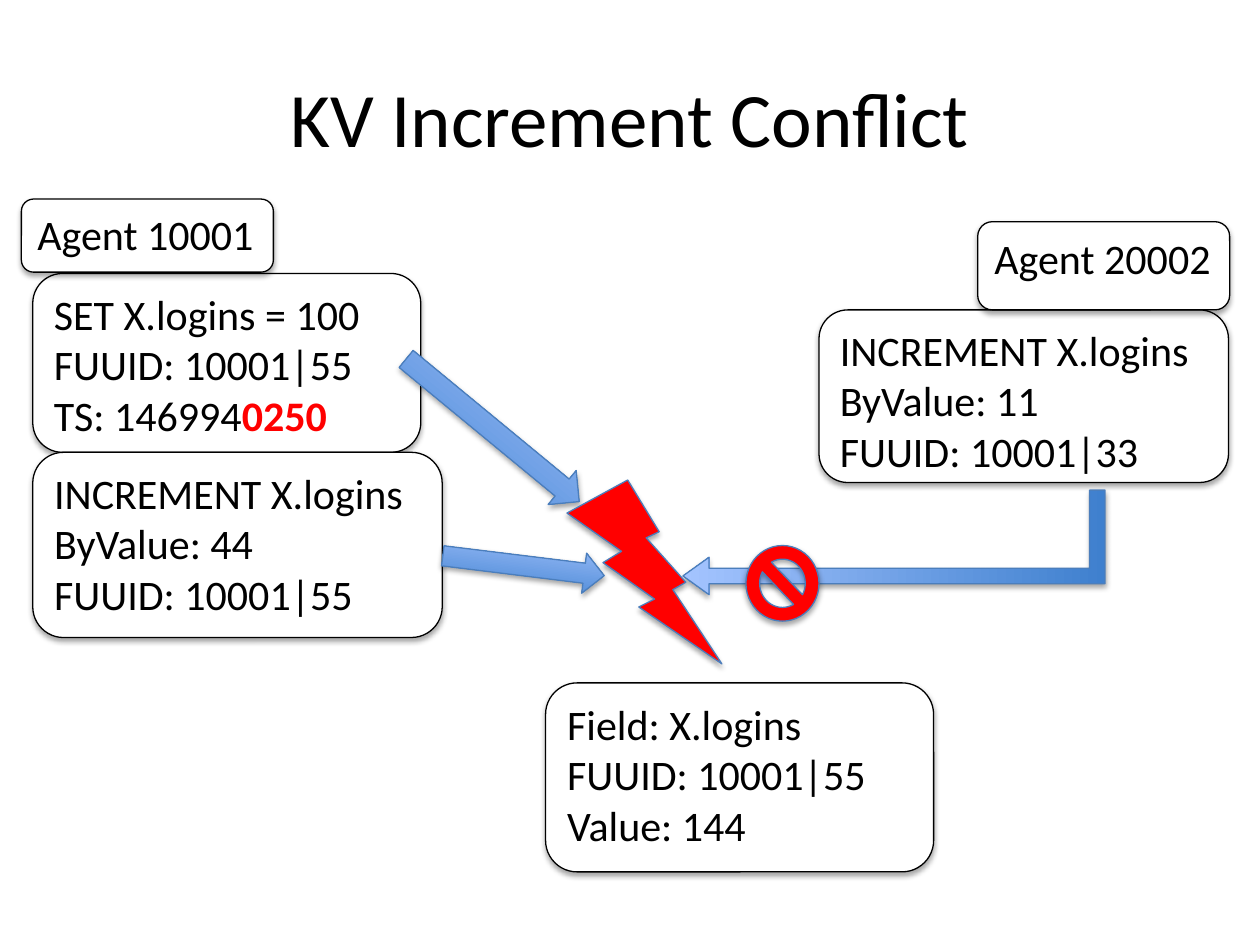
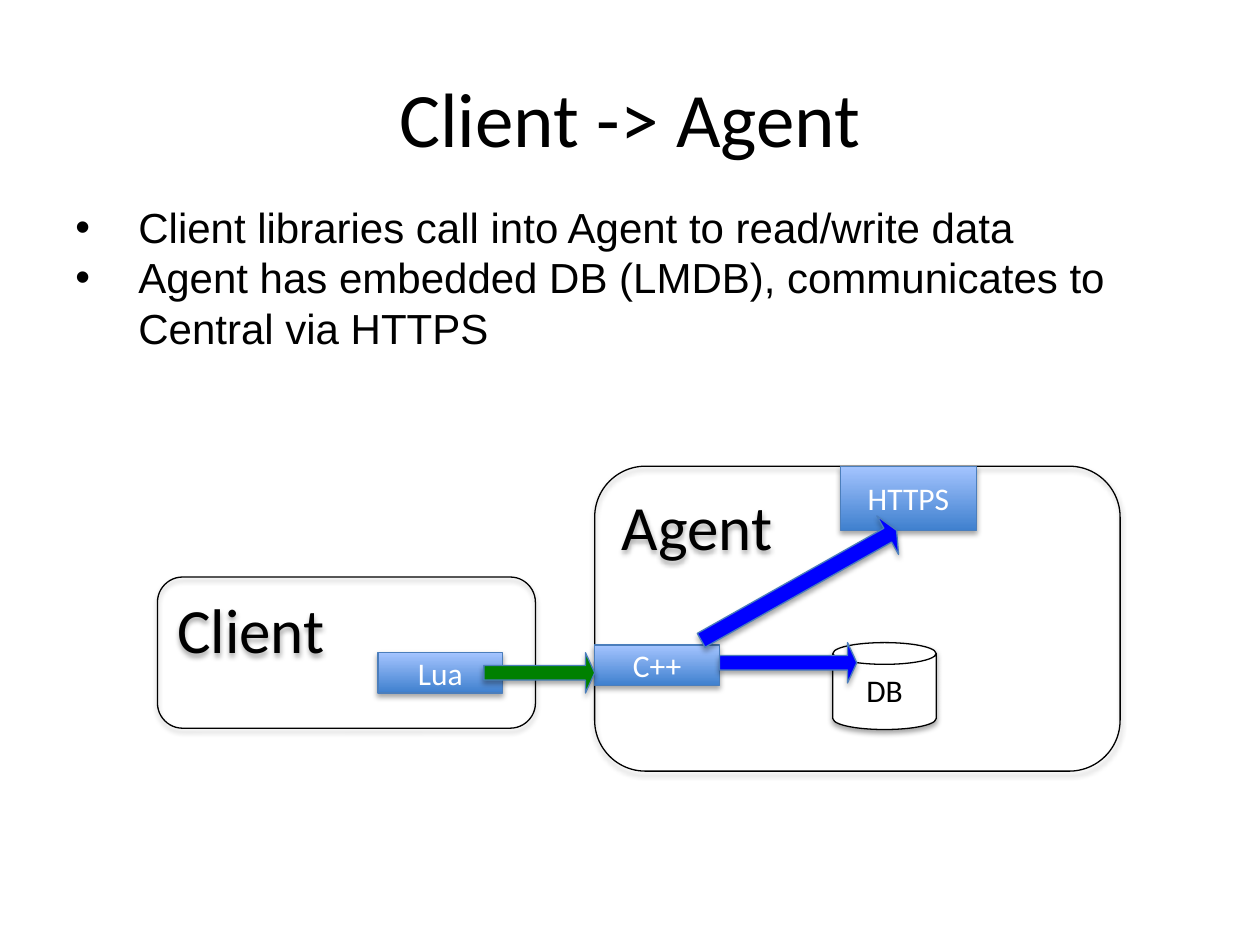
from lxml.etree import SubElement
from pptx import Presentation
from pptx.dml.color import RGBColor
from pptx.enum.shapes import MSO_SHAPE as SHAPE
from pptx.enum.text import MSO_ANCHOR, PP_ALIGN
from pptx.oxml.ns import qn
from pptx.util import Inches, Pt

BLACK = RGBColor(0x00, 0x00, 0x00)
WHITE = RGBColor(0xFF, 0xFF, 0xFF)
RED = RGBColor(0xFF, 0x00, 0x00)
GREEN = RGBColor(0x00, 0x80, 0x00)
BLUE = RGBColor(0x00, 0x00, 0xFF)
EDGE = RGBColor(0x4B, 0x7E, 0xBC)
SHADE = (RGBColor(0x3F, 0x80, 0xCE), RGBColor(0xA4, 0xC4, 0xFF))


def write(frame, lines, size, color=BLACK, align=PP_ALIGN.LEFT, font="Calibri"):
    """Fill a frame with lines; each line is a list of (text, colour or None)."""
    for i, line in enumerate(lines):
        para = frame.paragraphs[0] if i == 0 else frame.add_paragraph()
        para.alignment = align
        for text, accent in line:
            run = para.add_run()
            run.text = text
            run.font.name = font
            run.font.size = Pt(size)
            run.font.color.rgb = accent or color
            if accent:
                run.font.bold = True


def draw(slide, kind, box, fill, edge=EDGE, turn=0, adjust=()):
    """Add a shape with a soft shadow; fill is a colour, SHADE or None."""
    shape = slide.shapes.add_shape(kind, *map(Inches, box))
    shape.rotation = turn
    for i, value in enumerate(adjust):
        shape.adjustments[i] = value
    if fill is None:
        shape.fill.background()
    elif fill is SHADE:
        shape.fill.gradient()
        shape.fill.gradient_angle = 90
        for stop, color in zip(shape.fill.gradient_stops, SHADE):
            stop.color.rgb = color
    else:
        shape.fill.solid()
        shape.fill.fore_color.rgb = fill
    shape.line.color.rgb = edge
    shape.line.width = Pt(0.75)
    shape.shadow.inherit = False
    effects = shape._element.spPr.find(qn("a:effectLst"))
    shadow = SubElement(effects, qn("a:outerShdw"), blurRad=str(Pt(3.1)),
                        dist=str(Pt(1.8)), dir="5400000", rotWithShape="0")
    black = SubElement(shadow, qn("a:srgbClr"), val="000000")
    SubElement(black, qn("a:alpha"), val="35000")
    shape.text_frame.vertical_anchor = MSO_ANCHOR.TOP
    return shape


deck = Presentation()
deck.slide_width, deck.slide_height = Inches(10), Inches(7.5)
slides = []
for name in ("KV Increment Conflict", "Client -> Agent"):
    slide = deck.slides.add_slide(deck.slide_layouts[5])
    title = slide.shapes.title
    title.left, title.top = Inches(0.5), Inches(0.3)
    title.width, title.height = Inches(9), Inches(1.25)
    title.text_frame.vertical_anchor = MSO_ANCHOR.MIDDLE
    write(title.text_frame, [[(name, None)]], 44, align=PP_ALIGN.CENTER)
    slides.append(slide)
conflict, client = slides

# Conflict: messages, arrows and the agents' name tags
messages = [
    ((6.5, 2.46, 3.25, 1.37), ["INCREMENT X.logins", "ByValue: 11", "FUUID: 10001|33"]),
    ((0.26, 2.17, 3.08, 1.42), ["SET X.logins = 100", "FUUID: 10001|55", "TS: 146994"]),
    ((4.33, 5.42, 3.08, 1.5), ["Field: X.logins", "FUUID: 10001|55", "Value: 144"]),
    ((0.26, 3.59, 3.25, 1.47), ["INCREMENT X.logins", "ByValue: 44", "FUUID: 10001|55"]),
]
for box, texts in messages:
    shape = draw(conflict, SHAPE.ROUNDED_RECTANGLE, box, WHITE, BLACK)
    lines = [[(text, None)] for text in texts]
    if texts[-1].startswith("TS:"):
        lines[-1].append(("0250", RED))
    write(shape.text_frame, lines, 24)

bent = draw(conflict, SHAPE.BENT_UP_ARROW, (6.68, 2.63, 0.83, 3.35), SHADE,
            turn=90, adjust=(0.148, 0.179, 0.25))
bent._element.spPr.xfrm.set("flipV", "1")
for box, turn in (((3.02, 3.24, 1.78, 0.35), 39.5), ((3.51, 4.33, 1.29, 0.32), 7)):
    draw(conflict, SHAPE.RIGHT_ARROW, box, SHADE, turn=turn)
draw(conflict, SHAPE.LIGHTNING_BOLT, (4.5, 3.81, 1.23, 1.46), RED)
draw(conflict, SHAPE.NO_SYMBOL, (5.92, 4.33, 0.58, 0.6), RED)

for box, name in (((7.76, 1.76, 2, 0.7), "Agent 20002"),
                  ((0.17, 1.58, 2, 0.58), "Agent 10001")):
    tag = draw(conflict, SHAPE.ROUNDED_RECTANGLE, box, WHITE, BLACK)
    write(tag.text_frame, [[(name, None)]], 24)

# Client and agent: bullets, then containers with their parts
body = client.shapes.add_textbox(Inches(0.5), Inches(1.55), Inches(9.17), Inches(1.31))
body.text_frame.word_wrap = True
write(body.text_frame, [
    [("Client libraries call into Agent to read/write data", None)],
    [("Agent has embedded DB (LMDB), communicates to Central via HTTPS", None)],
], 24, font="Arial")
for para in body.text_frame.paragraphs:
    props = para._p.get_or_add_pPr()
    props.set("marL", str(Inches(0.5)))
    props.set("indent", str(-Inches(0.5)))
    SubElement(props, qn("a:buFont"), typeface="Arial")
    SubElement(props, qn("a:buChar"), char="•")

parts = [
    (SHAPE.ROUNDED_RECTANGLE, (4.72, 3.7, 4.17, 2.42), "Agent"),
    (SHAPE.CAN, (6.61, 5.1, 0.82, 0.69), "DB"),
    (SHAPE.RECTANGLE, (4.72, 5.12, 0.99, 0.32), "C++"),
    (SHAPE.RECTANGLE, (6.67, 3.7, 1.08, 0.51), "HTTPS"),
    (SHAPE.ROUNDED_RECTANGLE, (1.25, 4.58, 3, 1.2), "Client"),
    (SHAPE.RECTANGLE, (3, 5.18, 0.99, 0.32), "Lua"),
]
styles = {
    SHAPE.ROUNDED_RECTANGLE: (None, BLACK, 36, BLACK, PP_ALIGN.LEFT, MSO_ANCHOR.TOP),
    SHAPE.CAN: (WHITE, BLACK, 18, BLACK, PP_ALIGN.CENTER, MSO_ANCHOR.TOP),
    SHAPE.RECTANGLE: (SHADE, EDGE, 18, WHITE, PP_ALIGN.CENTER, MSO_ANCHOR.MIDDLE),
}
for kind, box, name in parts:
    fill, edge, size, color, align, anchor = styles[kind]
    part = draw(client, kind, box, fill, edge)
    part.text_frame.vertical_anchor = anchor
    write(part.text_frame, [[(name, None)]], size, color, align)

for box, fill, turn in (((3.84, 5.18, 0.88, 0.32), GREEN, 0),
                        ((5.45, 4.47, 1.78, 0.35), BLUE, 330.6),
                        ((5.71, 5.1, 1.09, 0.32), BLUE, 0)):
    draw(client, SHAPE.RIGHT_ARROW, box, fill, turn=turn, adjust=(0.361, 0.229))

deck.save("out.pptx")
